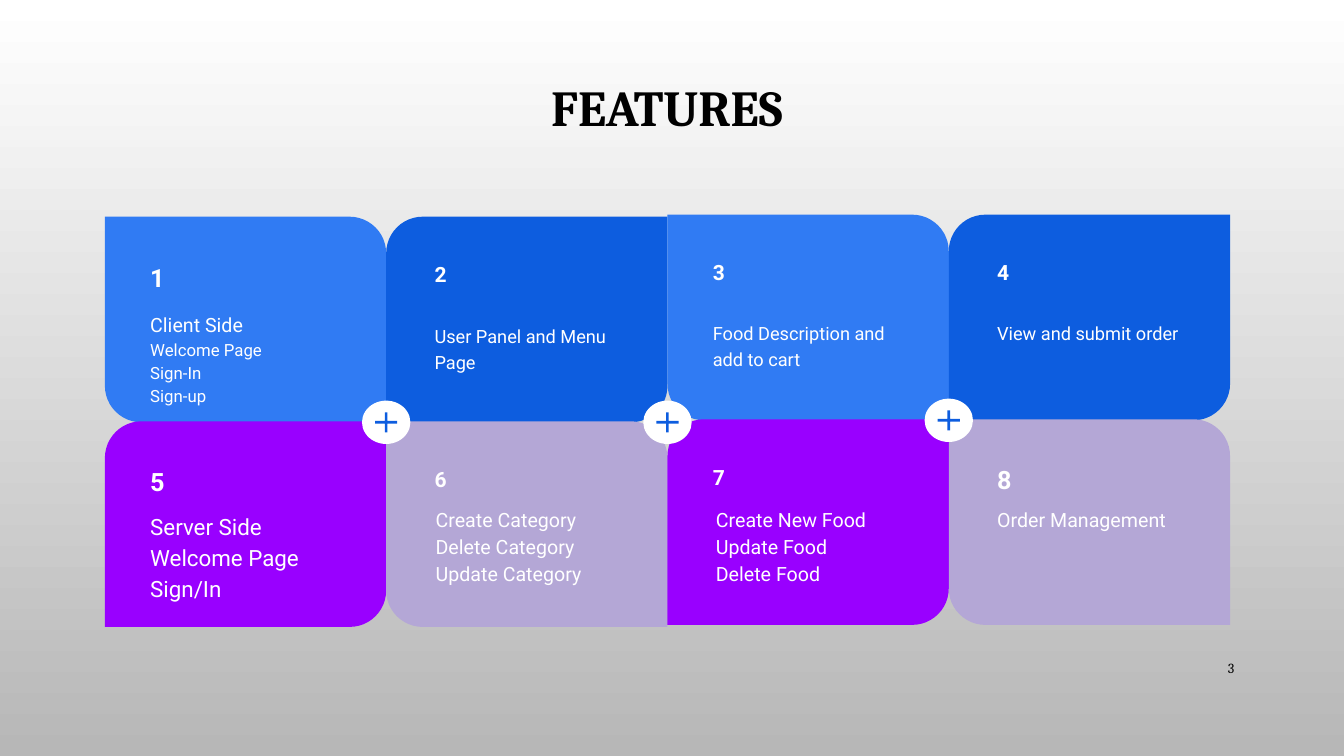
from typing import NamedTuple

from pptx import Presentation
from pptx.dml.color import RGBColor
from pptx.enum.shapes import MSO_SHAPE
from pptx.enum.text import MSO_ANCHOR, PP_ALIGN
from pptx.shapes.autoshape import Shape
from pptx.slide import Slide
from pptx.text.text import TextFrame
from pptx.util import Inches, Pt

TILE = MSO_SHAPE.ROUND_2_DIAG_RECTANGLE
DISC = MSO_SHAPE.OVAL
PLUS = MSO_SHAPE.MATH_PLUS
TOP, MIDDLE = MSO_ANCHOR.TOP, MSO_ANCHOR.MIDDLE
LEFT, CENTER, RIGHT = PP_ALIGN.LEFT, PP_ALIGN.CENTER, PP_ALIGN.RIGHT

BLACK = RGBColor(0x00, 0x00, 0x00)
WHITE = RGBColor(0xFF, 0xFF, 0xFF)
GREY = RGBColor(0xB7, 0xB7, 0xB7)
AZURE = RGBColor(0x30, 0x7B, 0xF3)
BLUE = RGBColor(0x0D, 0x5D, 0xDF)
PURPLE = RGBColor(0x99, 0x00, 0xFF)
LILAC = RGBColor(0xB4, 0xA7, 0xD6)
FILLS = ((AZURE, BLUE), (PURPLE, LILAC))

SERIF, SANS = "Cambria", "Roboto"

# Grid in inches: four columns by two rows, the right half a little higher
EDGE, COL, ROW = 1.04, 2.79, 2.03
TOPS = (2.15, 2.15, 2.13, 2.13)
HIGH = 2.04
CURVE = 0.178
INSETS = (0.32, 0.35)


class Box(NamedTuple):
    left: float
    top: float
    width: float
    height: float


class Line(NamedTuple):
    text: str
    size: int


class Card(NamedTuple):
    size: int      # size of the number
    drop: float    # from tile top to text
    lines: tuple[Line, ...]
    shift: float = 0


CARDS = (
    Card(18, 0.79, (Line("Client Side", 14), Line("Welcome Page", 12),
                    Line("Sign-In", 12), Line("Sign-up", 12))),
    Card(15, 0.92, (Line("User Panel and Menu Page", 13),)),
    Card(15, 0.91, (Line("Food Description and add to cart", 13),)),
    Card(15, 0.91, (Line("View and submit order", 13),)),
    Card(18, 0.74, (Line("Server Side", 16), Line("Welcome Page", 16),
                    Line("Sign/In", 16))),
    Card(15, 0.69, (Line("Create Category", 14), Line("Delete Category", 14),
                    Line("Update Category", 14)), 0.01),
    Card(15, 0.71, (Line("Create New Food", 14), Line("Update Food", 14),
                    Line("Delete Food", 14)), 0.03),
    Card(18, 0.71, (Line("Order Management", 14),)),
)


def place(box: Box) -> list[int]:
    return [Inches(v) for v in box]


def write(frame: TextFrame, lines: tuple[Line, ...], font: str,
          color: RGBColor, bold: bool = False, align: PP_ALIGN = LEFT,
          pitch: float = 1.0, after: int = 0) -> None:
    """Write the lines as one paragraph with line breaks."""
    para = frame.paragraphs[0]
    para.alignment = align
    para.line_spacing = pitch
    para.space_after = Pt(after)
    for i, line in enumerate(lines):
        if i:
            para.add_line_break()
        run = para.add_run()
        run.text = line.text
        run.font.name = font
        run.font.size = Pt(line.size)
        run.font.bold = bold
        run.font.color.rgb = color


def frame(slide: Slide, box: Box, pad_x: float = 0.13, pad_y: float = 0.13,
          anchor: MSO_ANCHOR = TOP) -> TextFrame:
    text = slide.shapes.add_textbox(*place(box)).text_frame
    text.word_wrap = True
    text.vertical_anchor = anchor
    text.margin_left = text.margin_right = Inches(pad_x)
    text.margin_top = text.margin_bottom = Inches(pad_y)
    return text


def draw(slide: Slide, kind: MSO_SHAPE, box: Box, color: RGBColor) -> Shape:
    shape = slide.shapes.add_shape(kind, *place(box))
    shape.shadow.inherit = False
    shape.fill.solid()
    shape.fill.fore_color.rgb = color
    shape.line.fill.background()
    return shape


def add_card(slide: Slide, index: int, card: Card) -> None:
    row, col = divmod(index, 4)
    left, top = EDGE + col * COL, TOPS[col] + row * ROW
    tile = draw(slide, TILE, Box(left, top, COL, HIGH), FILLS[row][col % 2])
    # Rounded corners swap diagonals from tile to tile
    odd = (row + col) % 2
    tile.adjustments[0] = CURVE if odd else 0
    tile.adjustments[1] = 0 if odd else CURVE

    left += INSETS[col % 2]
    number = frame(slide, Box(left, top + 0.32, 2.08, 0.6))
    write(number, (Line(str(index + 1), card.size),), SANS, WHITE, bold=True)
    body = frame(slide, Box(left + card.shift, top + card.drop, 2.08, 0.66))
    write(body, card.lines, SANS, WHITE, pitch=1.15, after=21)


def add_plus(slide: Slide, col: int) -> None:
    x, y = EDGE + col * COL, TOPS[col] + HIGH
    if col == 2:
        y = TOPS[1] + HIGH
    for kind, wide, high, color in ((DISC, 0.48, 0.43, WHITE),
                                    (PLUS, 0.3, 0.27, BLUE)):
        box = Box(x - wide / 2, y - high / 2, wide, high)
        shape = draw(slide, kind, box, color)
        if kind == PLUS:
            shape.adjustments[0] = 0.099


def main() -> None:
    deck = Presentation()
    deck.slide_width, deck.slide_height = Inches(13.33), Inches(7.5)
    slide = deck.slides.add_slide(deck.slide_layouts[5])

    # Background
    fill = slide.background.fill
    fill.gradient()
    fill.gradient_angle = 270
    for stop, color in zip(fill.gradient_stops, (WHITE, GREY)):
        stop.color.rgb = color

    # Title
    title = slide.shapes.title
    title.left, title.top, title.width, title.height = place(
        Box(1.41, 0.67, 10.41, 0.85))
    title.text_frame.vertical_anchor = MIDDLE
    write(title.text_frame, (Line("FEATURES", 36),), SERIF, BLACK,
          bold=True, align=CENTER, pitch=0.9)

    # Feature tiles, then the plus signs on their joints
    for index, card in enumerate(CARDS):
        add_card(slide, index, card)
    for col in (1, 2, 3):
        add_plus(slide, col)

    # Page number
    page = frame(slide, Box(11.5, 6.43, 0.84, 0.4), 0.1, 0.05, MIDDLE)
    write(page, (Line("3", 10),), SERIF, BLACK, align=RIGHT)

    deck.save("out.pptx")


if __name__ == "__main__":
    main()
